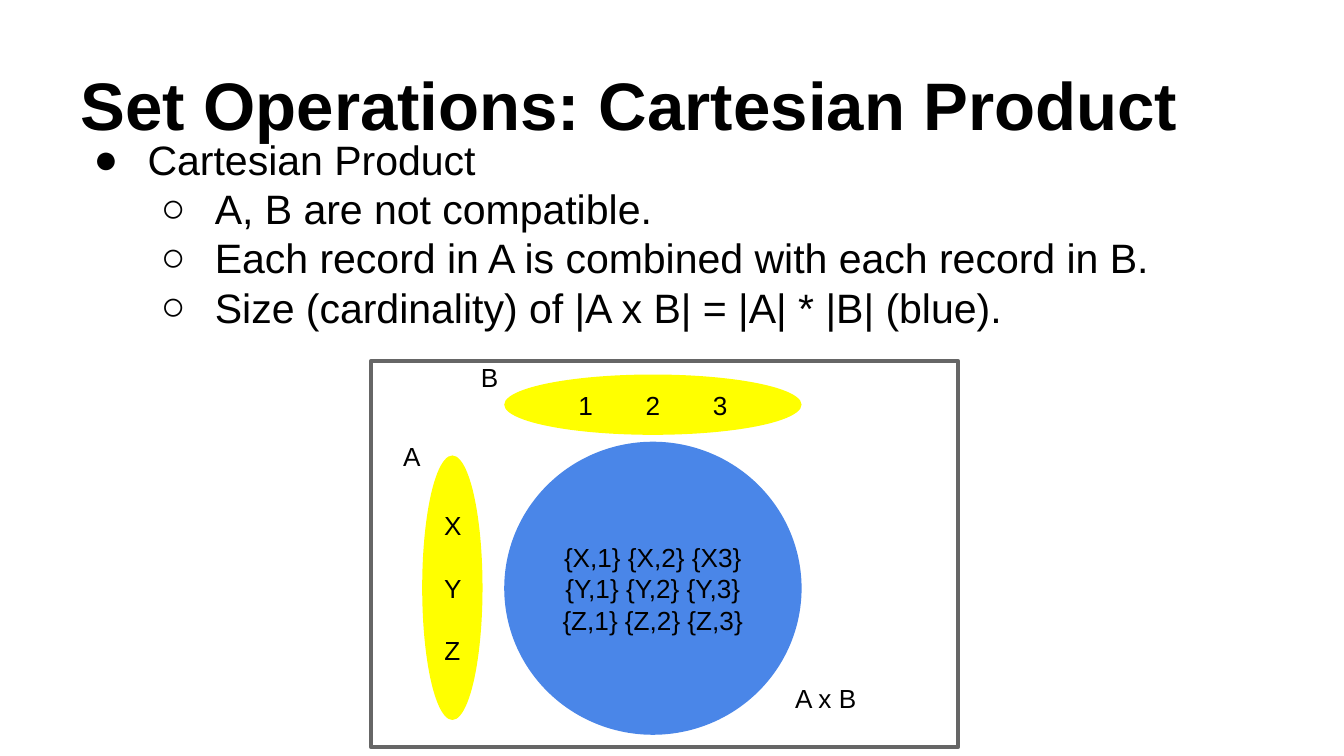
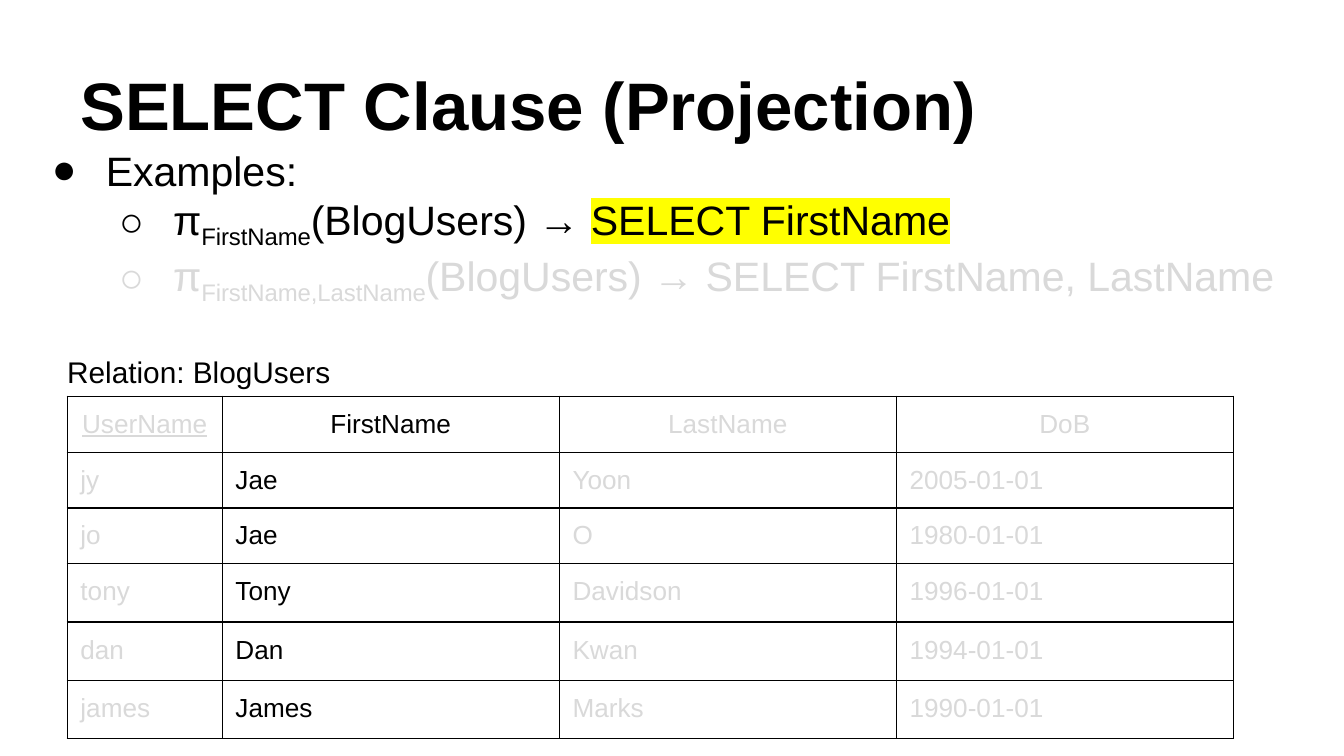
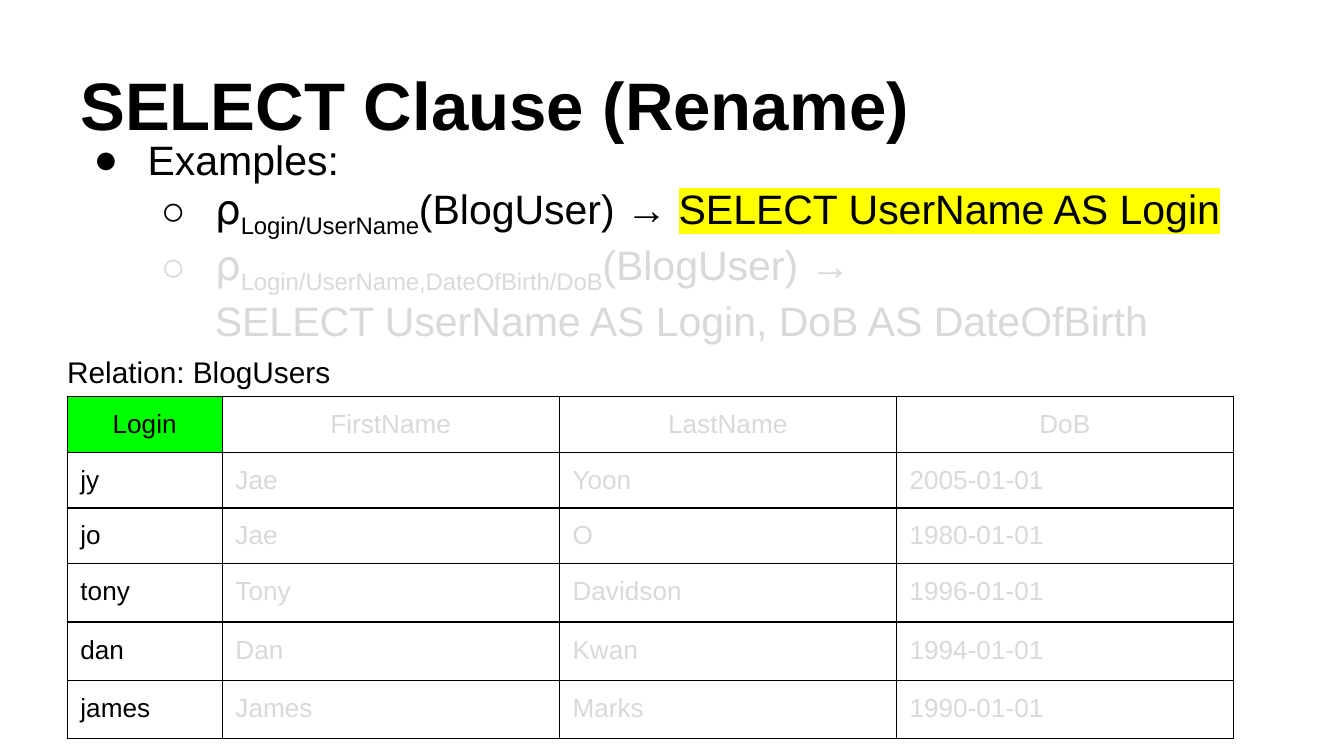
from lxml import etree
from pptx import Presentation
from pptx.dml.color import RGBColor
from pptx.enum.shapes import MSO_SHAPE
from pptx.enum.text import MSO_ANCHOR, MSO_AUTO_SIZE, PP_ALIGN
from pptx.oxml.ns import qn
from pptx.util import Cm, Pt

RECTANGLE, ELLIPSE = MSO_SHAPE.RECTANGLE, MSO_SHAPE.OVAL
LEFT, CENTER = PP_ALIGN.LEFT, PP_ALIGN.CENTER
TOP, MIDDLE, BOTTOM = MSO_ANCHOR.TOP, MSO_ANCHOR.MIDDLE, MSO_ANCHOR.BOTTOM
NO_AUTOFIT = MSO_AUTO_SIZE.NONE

COLORS = {
    "text": "000000",
    "faded": "D9D9D9",
    "frame": "666666",
    "product": "4A86E8",
    "set": "FFFF00",
    "highlight": "FFFF00",
    "renamed": "00FF00",
}
FONT = "Arial"
TITLE_SIZE, LIST_SIZE, CAPTION_SIZE, SMALL_SIZE = 36, 22, 16, 14
INSET = Cm(0.25)
BULLETS = "●○"
BULLET_STEP, BULLET_HANG = Cm(1.27), Cm(1.02)

TITLE_BOX = (1.27, 0.58, 22.86, 2.39)
LIST_BOX = (1.27, 2.29, 23.19, 4.19)
PROJECTION_LIST_BOX = (0.48, 2.49, 24.66, 3.94)
RENAME_LIST_BOX = (1.27, 2.29, 23.19, 10.34)
CAPTION_BOX = (1.02, 6.43, 6.6, 1.55)
DIAGRAM_BOX = (7.01, 6.83, 11.1, 7.29)
TABLE_ORIGIN = (1.27, 7.49)

COLUMN_WIDTHS = [2.93] + [6.37] * 3
ROW_HEIGHTS = [0.71] * 3 + [1.1] * 3
BLOG_USERS = [
    ("UserName", "FirstName", "LastName", "DoB"),
    ("jy", "Jae", "Yoon", "2005-01-01"),
    ("jo", "Jae", "O", "1980-01-01"),
    ("tony", "Tony", "Davidson", "1996-01-01"),
    ("dan", "Dan", "Kwan", "1994-01-01"),
    ("james", "James", "Marks", "1990-01-01"),
]


def rgb(name):
    return RGBColor.from_string(COLORS[name])


def place(shape, box):
    shape.left, shape.top, shape.width, shape.height = map(Cm, box)


def format_frame(frame, anchor=TOP):
    frame.word_wrap = True
    frame.auto_size = NO_AUTOFIT
    frame.vertical_anchor = anchor
    frame.margin_left = frame.margin_right = INSET
    frame.margin_top = frame.margin_bottom = INSET


def format_font(font, size, color="text", bold=False):
    font.name, font.size, font.bold = FONT, Pt(size), bold
    font.color.rgb = rgb(color)


def write(frame, text, size, align=LEFT, color="text", bold=False):
    frame.text = text
    paragraph = frame.paragraphs[0]
    paragraph.alignment = align
    for run in paragraph.runs:
        format_font(run.font, size, color, bold)
    return paragraph


def set_bullet(paragraph, level=None, color="text"):
    """Give the bullet and indent of a level, or neither when level is None."""
    paragraph.space_before = Pt(0)
    properties = paragraph._p.get_or_add_pPr()
    if level is None:
        properties.set("marL", "0")
        properties.set("indent", "0")
        etree.SubElement(properties, qn("a:buNone"))
        return
    paragraph.level = level
    properties.set("marL", str(BULLET_STEP * (level + 1)))
    properties.set("indent", str(-BULLET_HANG))
    bullet_color = etree.SubElement(properties, qn("a:buClr"))
    etree.SubElement(bullet_color, qn("a:srgbClr"), val=COLORS[color])
    etree.SubElement(properties, qn("a:buFont"), typeface=FONT)
    etree.SubElement(properties, qn("a:buChar"), char=BULLETS[level])


def add_styled_run(paragraph, text, style, color):
    """Add text as plain, "subscript" or "highlight"; a newline breaks the line."""
    for index, line in enumerate(text.split("\n")):
        if index:
            paragraph.add_line_break()
        run = paragraph.add_run()
        run.text = line
        format_font(run.font, LIST_SIZE, color)
        properties = run._r.get_or_add_rPr()
        if style == "subscript":
            properties.set("baseline", "-25000")
        elif style == "highlight":
            highlight = etree.Element(qn("a:highlight"))
            etree.SubElement(highlight, qn("a:srgbClr"), val=COLORS["highlight"])
            properties.find(qn("a:solidFill")).addnext(highlight)


def add_titled_slide(presentation, layout_index, title):
    slide = presentation.slides.add_slide(presentation.slide_layouts[layout_index])
    place(slide.shapes.title, TITLE_BOX)
    format_frame(slide.shapes.title.text_frame, BOTTOM)
    write(slide.shapes.title.text_frame, title, TITLE_SIZE, bold=True)
    return slide


def fill_list(placeholder, box, heading, items):
    """Write a heading and its items, each a colour and a list of (text, style)."""
    place(placeholder, box)
    frame = placeholder.text_frame
    format_frame(frame)
    set_bullet(write(frame, heading, LIST_SIZE), 0)
    for color, segments in items:
        paragraph = frame.add_paragraph()
        paragraph.alignment = LEFT
        set_bullet(paragraph, 1, color)
        for text, style in segments:
            add_styled_run(paragraph, text, style, color)


def add_product_diagram(slide, box):
    left, top, width, height = box

    def add_part(kind, part_box, fill=None, text=""):
        x, y, part_width, part_height = part_box
        shape = slide.shapes.add_shape(
            kind, Cm(left + x), Cm(top + y), Cm(part_width), Cm(part_height))
        shape.shadow.inherit = False
        shape.line.fill.background()
        if fill:
            shape.fill.solid()
            shape.fill.fore_color.rgb = rgb(fill)
        else:
            shape.fill.background()
        if text:
            format_frame(shape.text_frame, MIDDLE)
            write(shape.text_frame, text, SMALL_SIZE, CENTER)
        return shape

    frame = add_part(RECTANGLE, (0, 0, width, height))
    frame.line.color.rgb = rgb("frame")
    frame.line.width = Pt(2.25)
    add_part(ELLIPSE, (2.52, 1.52, 5.62, 5.54), "product",
             "{X,1} {X,2} {X3} {Y,1} {Y,2} {Y,3} {Z,1} {Z,2} {Z,3}")
    add_part(ELLIPSE, (2.52, 0.25, 5.62, 1.14), "set", "1\t2\t3")
    add_part(ELLIPSE, (0.97, 1.78, 1.14, 5), "set", "X\tY\tZ")

    for text, x, y, label_width in (
            ("A", 0.36, 1.24, 1.14), ("B", 1.83, -0.25, 1.14), ("A x B", 7.77, 5.82, 1.85)):
        label = slide.shapes.add_textbox(
            Cm(left + x), Cm(top + y), Cm(label_width), Cm(0.99))
        format_frame(label.text_frame)
        write(label.text_frame, text, SMALL_SIZE)


def set_borders(cell):
    properties = cell._tc.get_or_add_tcPr()
    for index, side in enumerate(("lnL", "lnR", "lnT", "lnB")):
        line = etree.Element(qn(f"a:{side}"), w=str(Pt(0.75)))
        fill = etree.SubElement(line, qn("a:solidFill"))
        etree.SubElement(fill, qn("a:srgbClr"), val=COLORS["text"])
        properties.insert(index, line)


def add_relation_table(slide, origin, rows, active_column):
    """Draw the relation with every column faded but the active one."""
    left, top = origin
    table = slide.shapes.add_table(
        len(rows), len(COLUMN_WIDTHS), Cm(left), Cm(top),
        Cm(sum(COLUMN_WIDTHS)), Cm(sum(ROW_HEIGHTS))).table
    table.first_row = table.horz_banding = False
    for column, width in zip(table.columns, COLUMN_WIDTHS):
        column.width = Cm(width)
    for row, height in zip(table.rows, ROW_HEIGHTS):
        row.height = Cm(height)
    for row_index, values in enumerate(rows):
        for column_index, value in enumerate(values):
            cell = table.cell(row_index, column_index)
            cell.margin_left = cell.margin_right = INSET
            cell.margin_top = cell.margin_bottom = INSET
            cell.fill.background()
            set_borders(cell)
            write(cell.text_frame, value, SMALL_SIZE,
                  CENTER if row_index == 0 else LEFT,
                  "text" if column_index == active_column else "faded")
    return table


def add_product_slide(presentation):
    slide = add_titled_slide(presentation, 1, "Set Operations: Cartesian Product")
    facts = (
        "A, B are not compatible.",
        "Each record in A is combined with each record in B.",
        "Size (cardinality) of |A x B| = |A| * |B| (blue).",
    )
    fill_list(slide.placeholders[1], LIST_BOX, "Cartesian Product",
              [("text", [(fact, None)]) for fact in facts])
    add_product_diagram(slide, DIAGRAM_BOX)


def add_clause_slide(presentation, title, list_box, items, rows, active_column):
    """Add a slide of examples above the relation; returns the table."""
    slide = add_titled_slide(presentation, 3, title)
    fill_list(slide.placeholders[1], list_box, "Examples:", items)
    caption = slide.placeholders[2]
    place(caption, CAPTION_BOX)
    format_frame(caption.text_frame)
    set_bullet(write(caption.text_frame, "Relation: BlogUsers", CAPTION_SIZE))
    return add_relation_table(slide, TABLE_ORIGIN, rows, active_column)


def add_projection_slide(presentation):
    items = [
        ("text", [("π", None), ("FirstName", "subscript"), ("(BlogUsers) → ", None),
                  ("SELECT FirstName", "highlight")]),
        ("faded", [("π", None), ("FirstName,LastName", "subscript"),
                   ("(BlogUsers) → SELECT FirstName, LastName", None)]),
    ]
    table = add_clause_slide(presentation, "SELECT Clause (Projection)",
                             PROJECTION_LIST_BOX, items, BLOG_USERS, 1)
    table.cell(0, 0).text_frame.paragraphs[0].runs[0].font.underline = True


def add_rename_slide(presentation):
    items = [
        ("text", [("⍴", None), ("Login/UserName", "subscript"), ("(BlogUser) → ", None),
                  ("SELECT UserName AS Login", "highlight")]),
        ("faded", [("⍴", None), ("Login/UserName,DateOfBirth/DoB", "subscript"),
                   ("(BlogUser) →\nSELECT UserName AS Login, DoB AS DateOfBirth", None)]),
    ]
    renamed_users = [("Login", *BLOG_USERS[0][1:]), *BLOG_USERS[1:]]
    table = add_clause_slide(presentation, "SELECT Clause (Rename)",
                             RENAME_LIST_BOX, items, renamed_users, 0)
    login_fill = table.cell(0, 0).fill
    login_fill.solid()
    login_fill.fore_color.rgb = rgb("renamed")


def main():
    presentation = Presentation()
    presentation.slide_width, presentation.slide_height = Cm(25.4), Cm(14.29)
    add_product_slide(presentation)
    add_projection_slide(presentation)
    add_rename_slide(presentation)
    presentation.save("out.pptx")


if __name__ == "__main__":
    main()
